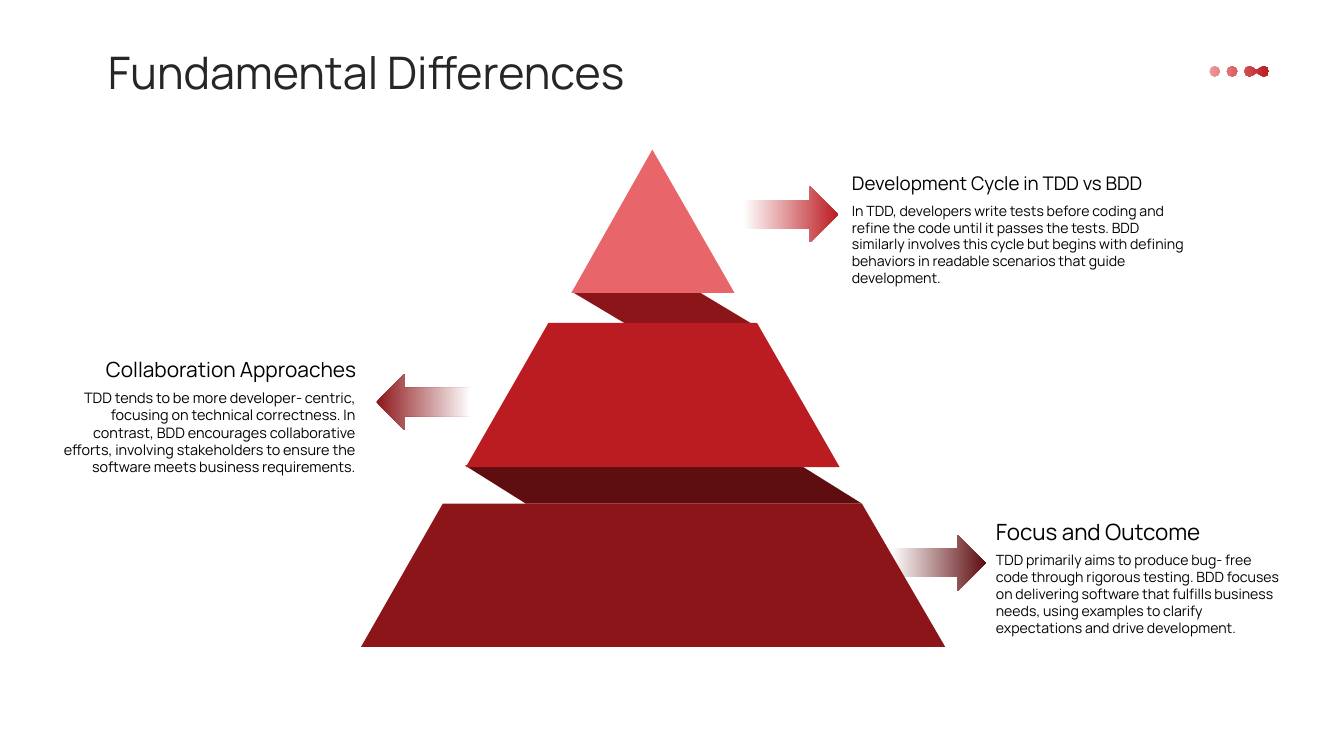
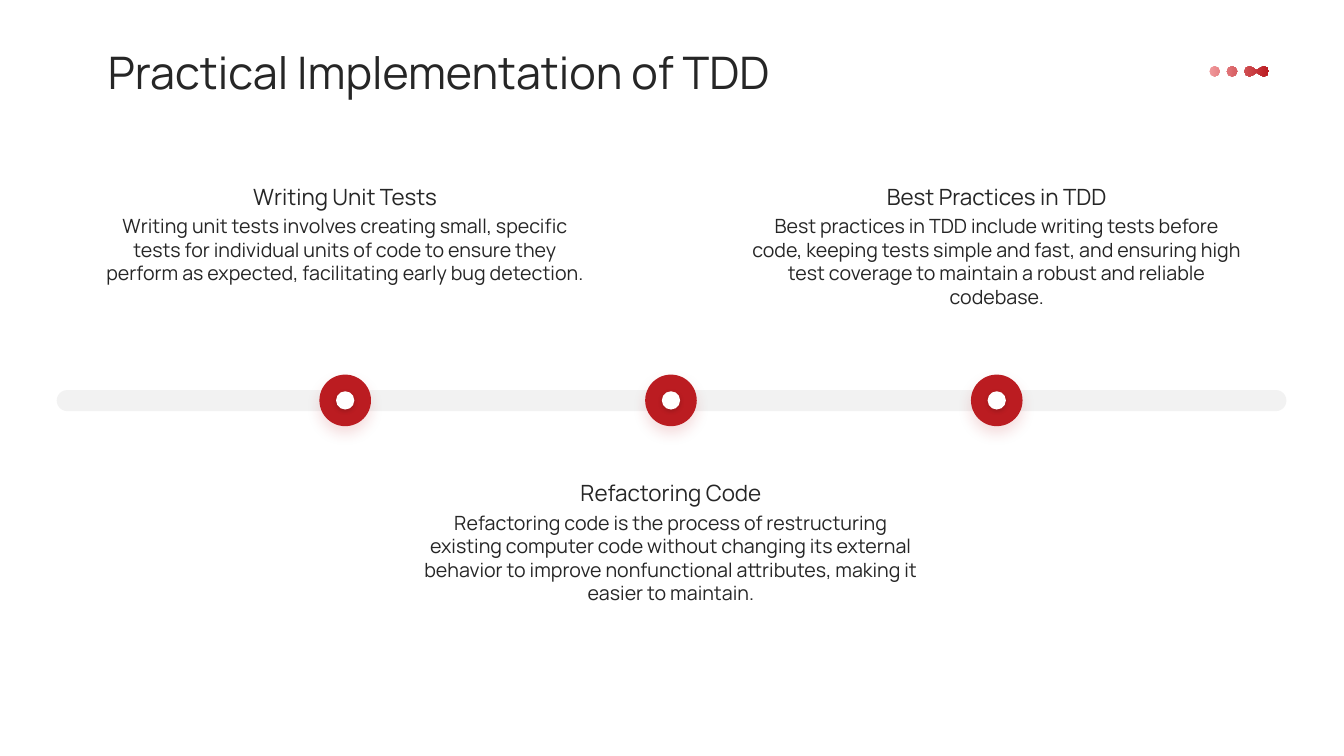
from math import cos, radians, sin

from lxml import etree
from pptx import Presentation
from pptx.dml.color import RGBColor
from pptx.enum.shapes import MSO_SHAPE
from pptx.enum.text import MSO_ANCHOR, PP_ALIGN
from pptx.oxml.ns import qn
from pptx.util import Cm, Pt

FONT = "Manrope"
BLACK = RGBColor(0x00, 0x00, 0x00)
CHARCOAL = RGBColor(0x26, 0x26, 0x26)
WHITE = RGBColor(0xFF, 0xFF, 0xFF)
PALE_GRAY = RGBColor(0xF2, 0xF2, 0xF2)
PINK = RGBColor(0xF0, 0x98, 0x9B)
CORAL = RGBColor(0xE8, 0x65, 0x69)
RED = RGBColor(0xBB, 0x1C, 0x21)
DARK_RED = RGBColor(0x8C, 0x15, 0x19)
MAROON = RGBColor(0x5E, 0x0E, 0x10)

LEFT, CENTER, RIGHT = PP_ALIGN.LEFT, PP_ALIGN.CENTER, PP_ALIGN.RIGHT
TOP, MIDDLE, BOTTOM = MSO_ANCHOR.TOP, MSO_ANCHOR.MIDDLE, MSO_ANCHOR.BOTTOM
OVAL, ROUNDED = MSO_SHAPE.OVAL, MSO_SHAPE.ROUNDED_RECTANGLE
RIGHT_ARROW, LEFT_ARROW = MSO_SHAPE.RIGHT_ARROW, MSO_SHAPE.LEFT_ARROW

PYRAMID = [
    (MAROON, [(21.72, 12.69), (13.25, 12.69), (11.72, 11.73), (20.18, 11.73)]),
    (DARK_RED, [(19.1, 8.25), (15.92, 8.25), (14.41, 7.35), (17.6, 7.35)]),
    (DARK_RED, [(11.16, 12.69), (21.72, 12.69), (23.82, 16.3), (9.1, 16.3)]),
    (RED, [(13.82, 8.14), (19.08, 8.14), (21.16, 11.77), (11.74, 11.77)]),
    (CORAL, [(16.44, 3.77), (18.51, 7.38), (14.4, 7.38)]),
]
ARROWS = [
    (RIGHT_ARROW, 22.46, 13.47, WHITE, MAROON),
    (RIGHT_ARROW, 18.74, 4.69, WHITE, RED),
    (LEFT_ARROW, 9.48, 9.42, DARK_RED, WHITE),
]
CALLOUTS = [
    (21.47, 4.13, 5.09, 8.61, LEFT, 13.4, 10.1, "Development Cycle in TDD vs BDD",
     "In TDD, developers write tests before coding and refine the code until it "
     "passes the tests. BDD similarly involves this cycle but begins with defining "
     "behaviors in readable scenarios that guide development."),
    (1.55, 8.86, 9.81, 7.42, RIGHT, 14.9, 10.3, "Collaboration Approaches",
     "TDD tends to be more developer- centric, focusing on technical correctness. "
     "In contrast, BDD encourages collaborative efforts, involving stakeholders to "
     "ensure the software meets business requirements."),
    (25.1, 12.97, 13.89, 7.26, LEFT, 16, 10.1, "Focus and Outcome",
     "TDD primarily aims to produce bug- free code through rigorous testing. BDD "
     "focuses on delivering software that fulfills business needs, using examples "
     "to clarify expectations and drive development."),
]
MILESTONES = [
    (3.81, "Writing Unit Tests",
     "Writing unit tests involves creating small, specific tests for individual "
     "units of code to ensure they perform as expected, facilitating early bug "
     "detection."),
    (11.29, "Refactoring Code",
     "Refactoring code is the process of restructuring existing computer code "
     "without changing its external behavior to improve nonfunctional attributes, "
     "making it easier to maintain."),
    (3.81, "Best Practices in TDD",
     "Best practices in TDD include writing tests before code, keeping tests simple "
     "and fast, and ensuring high test coverage to maintain a robust and reliable "
     "codebase."),
]
FIRST_MILESTONE, MILESTONE_STEP, TIMELINE_Y = 8.7, 8.21, 10.09
MILESTONE_TEXT_WIDTH = 12.5


def paint(shape, *colors):
    shape.shadow.inherit = False
    shape.line.fill.background()
    if len(colors) == 1:
        shape.fill.solid()
        shape.fill.fore_color.rgb = colors[0]
        return
    shape.fill.gradient()
    shape.fill.gradient_angle = 0
    for stop, color in zip(shape.fill.gradient_stops, colors):
        stop.color.rgb = color


def add_shape(page, kind, left, top, width, height, *colors):
    shape = page.shapes.add_shape(kind, Cm(left), Cm(top), Cm(width), Cm(height))
    paint(shape, *colors)
    return shape


def add_outline(page, contours, *colors):
    builder = None
    for contour in contours:
        points = [(Cm(x), Cm(y)) for x, y in contour]
        if builder is None:
            builder = page.shapes.build_freeform(*points[0])
        else:
            builder.move_to(*points[0])
        builder.add_line_segments(points[1:], close=True)
    paint(builder.convert_to_shape(), *colors)


def add_text(page, left, top, width, height, text, size, color,
             align=LEFT, anchor=TOP):
    box = page.shapes.add_textbox(Cm(left), Cm(top), Cm(width), Cm(height))
    frame = box.text_frame
    frame.word_wrap = True
    frame.vertical_anchor = anchor
    frame.margin_left = frame.margin_right = 0
    frame.margin_top = frame.margin_bottom = 0
    para = frame.paragraphs[0]
    para.alignment = align
    span = para.add_run()
    span.text = text
    span.font.name = FONT
    span.font.size = Pt(size)
    span.font.color.rgb = color


def add_drop_shadow(shape, color, blur, distance):
    effects = shape._element.spPr.find(qn("a:effectLst"))
    shadow = etree.SubElement(
        effects, qn("a:outerShdw"), blurRad=str(Pt(blur)), dist=str(Pt(distance)),
        dir="5400000", algn="t", rotWithShape="0")
    tone = etree.SubElement(shadow, qn("a:srgbClr"), val=str(color))
    etree.SubElement(tone, qn("a:alpha"), val="15000")


def add_disc(page, x, y, diameter, color, shadow_color, blur, distance):
    corner = diameter / 2
    disc = add_shape(page, OVAL, x - corner, y - corner, diameter, diameter, color)
    add_drop_shadow(disc, shadow_color, blur, distance)


def arc(x, y, radius, start, end):
    return [(x + radius * cos(radians(angle)), y + radius * sin(radians(angle)))
            for angle in range(start, end + 1, 45)]


def add_dots(page):
    y, radius = 1.8, 0.13
    left_dot, right_dot = 31.49, 31.85
    middle = (left_dot + right_dot) / 2
    linked = (arc(left_dot, y, radius, 45, 315) + [(middle, y - 0.03)]
              + arc(right_dot, y, radius, 225, 495) + [(middle, y + 0.03)])
    singles = [arc(x, y, radius, 0, 315) for x in (30.61, 31.05)]
    add_outline(page, singles + [linked], PINK, RED)


def add_page(deck, title):
    page = deck.slides.add_slide(deck.slide_layouts[6])
    add_text(page, 2.72, 1.15, 27.33, 1.3, title, 32, CHARCOAL, anchor=MIDDLE)
    add_dots(page)
    return page


def add_callout(page, left, heading_top, body_top, width, align, heading_size,
                body_size, heading, body):
    add_text(page, left, heading_top, width, 0.76, heading, heading_size, BLACK,
             align, BOTTOM)
    add_text(page, left, body_top, width, 3.15, body, body_size, BLACK, align)


def add_milestone(page, x, top, heading, body):
    add_disc(page, x, TIMELINE_Y, 1.3, RED, RED, 10, 5)
    add_disc(page, x, TIMELINE_Y, 0.46, WHITE, BLACK, 3, 1)
    left = x - MILESTONE_TEXT_WIDTH / 2
    add_text(page, left, top, MILESTONE_TEXT_WIDTH, 1.47, heading, 16, CHARCOAL,
             CENTER, BOTTOM)
    add_text(page, left, top + 1.58, MILESTONE_TEXT_WIDTH, 3.5, body, 14, CHARCOAL,
             CENTER)


def build_differences(deck):
    page = add_page(deck, "Fundamental Differences")
    for kind, left, top, *colors in ARROWS:
        add_shape(page, kind, left, top, 2.38, 1.42, *colors)
    for color, corners in PYRAMID:
        add_outline(page, [corners], color)
    for callout in CALLOUTS:
        add_callout(page, *callout)


def build_implementation(deck):
    page = add_page(deck, "Practical Implementation of TDD")
    bar = add_shape(page, ROUNDED, 1.43, 9.83, 30.99, 0.53, PALE_GRAY)
    bar.adjustments[0] = 0.5
    for index, milestone in enumerate(MILESTONES):
        add_milestone(page, FIRST_MILESTONE + index * MILESTONE_STEP, *milestone)


def main():
    deck = Presentation()
    deck.slide_width, deck.slide_height = Cm(33.87), Cm(19.05)
    build_differences(deck)
    build_implementation(deck)
    deck.save("out.pptx")


if __name__ == "__main__":
    main()
